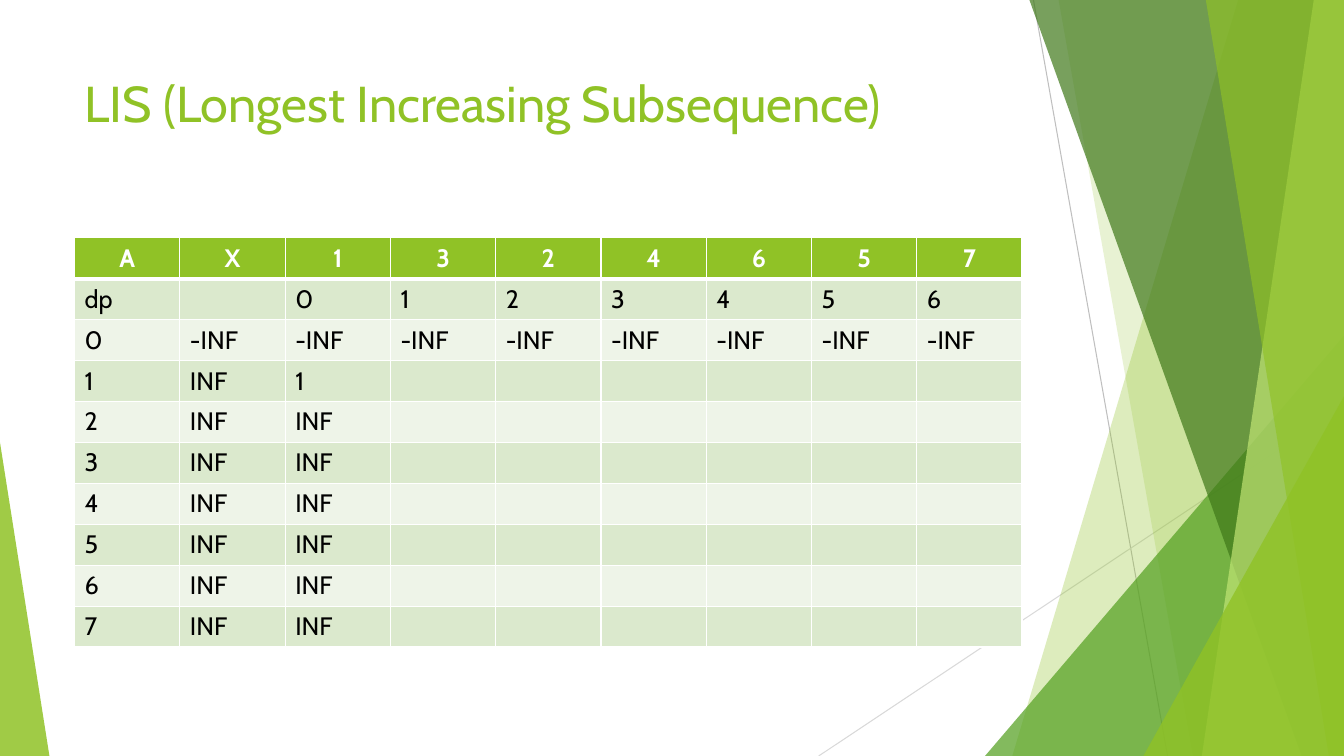
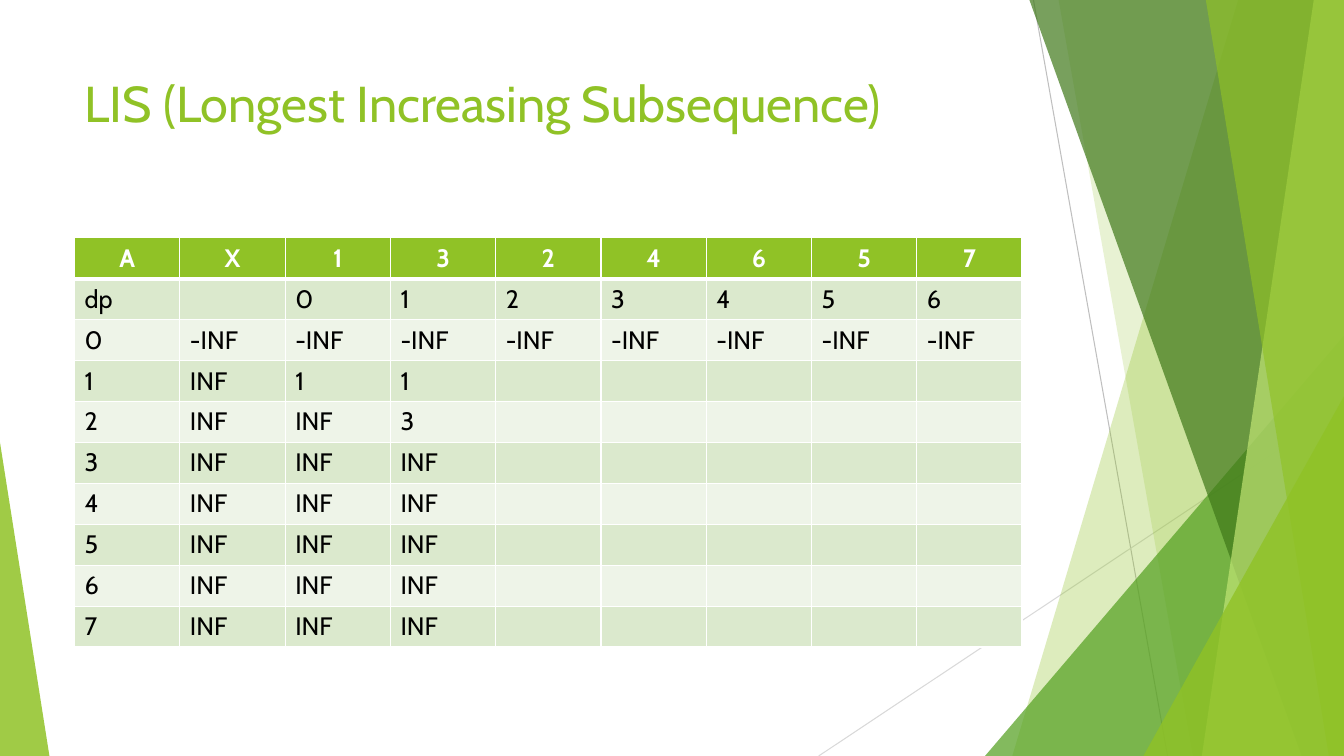
from lxml import etree
from pptx import Presentation
from pptx.dml.color import RGBColor
from pptx.enum.shapes import MSO_CONNECTOR, MSO_SHAPE
from pptx.enum.text import MSO_ANCHOR, MSO_AUTO_SIZE, PP_ALIGN
from pptx.oxml.ns import qn
from pptx.util import Inches, Pt

STRAIGHT = MSO_CONNECTOR.STRAIGHT
TRIANGLE = MSO_SHAPE.ISOSCELES_TRIANGLE
TOP, NO_FIT = MSO_ANCHOR.TOP, MSO_AUTO_SIZE.NONE
LEFT, CENTER = PP_ALIGN.LEFT, PP_ALIGN.CENTER

WHITE = RGBColor(0xFF, 0xFF, 0xFF)
BLACK = RGBColor(0x00, 0x00, 0x00)
LIME = RGBColor(0x90, 0xC2, 0x26)
GREEN = RGBColor(0x54, 0xA0, 0x21)
FOREST = RGBColor(0x3F, 0x78, 0x19)
PALE_LIME = RGBColor(0xC0, 0xE4, 0x74)
ROW_TINTS = (RGBColor(0xDB, 0xE9, 0xCD), RGBColor(0xEE, 0xF4, 0xE8))
GRAY = RGBColor(0xBF, 0xBF, 0xBF)
LIGHT_GRAY = RGBColor(0xD9, 0xD9, 0xD9)

FONT = "Cabin"
SLIDE_W, SLIDE_H = Inches(13.33), Inches(7.5)
MARGIN, CONTENT_W = Inches(0.74), Inches(9.4)
TITLE_BOX = (MARGIN, Inches(0.67), CONTENT_W, Inches(1.44))
TABLE_BOX = (MARGIN, Inches(2.36), CONTENT_W, Inches(4.06))
PANEL_W = Inches(3.56)
PANEL_BOX = (SLIDE_W - PANEL_W, 0, PANEL_W, SLIDE_H)
LEFT_WEDGE_BOX = (0, Inches(4.39), Inches(0.49), Inches(3.11))

TITLE = "LIS (Longest Increasing Subsequence)"
SEQUENCE = ["1", "3", "2", "4", "6", "5", "7"]
TAILS_BY_STEP = [[], ["1"], ["1", "3"]]


def tint(shape, color, opacity):
    """Give a shape a translucent fill without line or shadow."""
    shape.shadow.inherit = False
    shape.line.fill.background()
    shape.fill.solid()
    shape.fill.fore_color.rgb = color
    color_node = shape.element.spPr.find(f"{qn('a:solidFill')}/{qn('a:srgbClr')}")
    etree.SubElement(color_node, qn("a:alpha"), val=str(opacity * 1000))


def add_ray(shapes, start, end, color):
    """Draw a thin straight line between two points."""
    ray = shapes.add_connector(STRAIGHT, *start, *end)
    ray.line.color.rgb = color
    ray.line.width = Pt(0.75)
    etree.SubElement(ray.element.spPr, qn("a:effectLst"))


def add_wedge(shapes, box, apex, color, opacity):
    """Draw a triangle whose apex is a share of the box width."""
    wedge = shapes.add_shape(TRIANGLE, *box)
    wedge.adjustments[0] = apex
    tint(wedge, color, opacity)


def add_facet(shapes, box, top_inset, bottom_inset, color, opacity):
    """Draw a full-height facet with a slanted left edge."""
    left, top, width, height = box
    right, bottom = left + width, top + height
    outline = shapes.build_freeform(left + Inches(top_inset), top)
    outline.add_line_segments([
        (right, top), (right, bottom), (left + Inches(bottom_inset), bottom)])
    tint(outline.convert_to_shape(), color, opacity)


def add_panel(shapes, box):
    """Draw the layered rays, facets and wedges at the right edge."""
    left, top, width, height = box
    right, bottom = left + width, top + height

    def corner_wedge(wedge_w, wedge_h, color, opacity):
        """Draw a wedge in the lower right corner of the panel."""
        size = Inches(wedge_w), Inches(wedge_h)
        corner = right - size[0], bottom - size[1]
        add_wedge(shapes, (*corner, *size), 1, color, opacity)

    add_ray(shapes, (left + Inches(0.48), top), (left + Inches(1.81), bottom), GRAY)
    add_ray(shapes, (right, top + Inches(4.03)), (left - Inches(1.65), bottom), LIGHT_GRAY)
    add_facet(shapes, box, 2.51, 0.27, LIME, 30)
    add_facet(shapes, box, 0.73, 2.06, LIME, 20)
    corner_wedge(3.56, 4.17, GREEN, 72)
    add_facet(shapes, box, 0.44, 3.14, FOREST, 70)
    add_facet(shapes, box, 3.26, 2.15, PALE_LIME, 70)
    add_facet(shapes, box, 2.19, 3.41, LIME, 65)
    corner_wedge(1.99, 3.57, LIME, 80)


def decorate_layout(layout, slide):
    """Place the shared decoration and title box on the layout."""
    title, *footers = layout.placeholders
    tree = title.element.getparent()
    for footer in footers:
        tree.remove(footer.element)
    title.left, title.top, title.width, title.height = TITLE_BOX
    decoration = slide.shapes.add_group_shape()
    add_panel(decoration.shapes, PANEL_BOX)
    add_wedge(decoration.shapes, LEFT_WEDGE_BOX, 0, LIME, 85)
    title.element.addprevious(decoration.element)


def style_paragraph(paragraph, size, color, bold=False, align=LEFT):
    """Apply the deck font to the runs of a paragraph."""
    paragraph.alignment = align
    for run in paragraph.runs:
        run.font.name = FONT
        run.font.size = Pt(size)
        run.font.bold = bold
        run.font.color.rgb = color


def fill_title(slide, text):
    """Write the slide title into its placeholder."""
    frame = slide.shapes.title.text_frame
    frame.text = text
    frame.vertical_anchor = TOP
    frame.auto_size = NO_FIT
    style_paragraph(frame.paragraphs[0], 36, LIME)


def add_borders(cell, top_width, bottom_width):
    """Outline a cell in white."""
    properties = cell._tc.get_or_add_tcPr()
    widths = {"lnL": 1, "lnR": 1, "lnT": top_width, "lnB": bottom_width}
    for position, (side, width) in enumerate(widths.items()):
        border = etree.Element(qn(f"a:{side}"), w=str(Pt(width)))
        fill = etree.SubElement(border, qn("a:solidFill"))
        etree.SubElement(fill, qn("a:srgbClr"), val=str(WHITE))
        properties.insert(position, border)


def dp_rows(step):
    """Return the table rows with the dp columns filled up to a step."""
    count = len(SEQUENCE)
    rows = [
        ["A", "X", *SEQUENCE],
        ["dp", "", *map(str, range(count))],
        ["0"] + ["-INF"] * (count + 1),
    ]
    for length in range(1, count + 1):
        values = [tails[length - 1] if length <= len(tails) else "INF"
                  for tails in TAILS_BY_STEP[:step + 1]]
        rows.append([str(length), *values] + [""] * (count - step))
    return rows


def add_dp_table(slide, box, rows):
    """Add the dp table on an even grid within the box."""
    left, top, width, height = box
    table = slide.shapes.add_table(len(rows), len(rows[0]), *box).table
    for column in table.columns:
        column.width = width // len(rows[0])
    for r, values in enumerate(rows):
        table.rows[r].height = height // len(rows)
        is_header = r == 0
        for c, value in enumerate(values):
            cell = table.cell(r, c)
            cell.fill.solid()
            cell.fill.fore_color.rgb = LIME if is_header else ROW_TINTS[(r - 1) % 2]
            add_borders(cell, 3 if r == 1 else 1, 3 if is_header else 1)
            paragraph = cell.text_frame.paragraphs[0]
            if value:
                paragraph.text = value
            style_paragraph(paragraph, 18, WHITE if is_header else BLACK,
                            is_header, CENTER if is_header else LEFT)


def main():
    """Build and save the deck."""
    deck = Presentation()
    deck.slide_width, deck.slide_height = SLIDE_W, SLIDE_H
    layout = deck.slide_layouts[5]
    slides = [deck.slides.add_slide(layout) for _ in TAILS_BY_STEP[1:]]
    decorate_layout(layout, slides[0])
    for step, slide in enumerate(slides, start=1):
        fill_title(slide, TITLE)
        add_dp_table(slide, TABLE_BOX, dp_rows(step))
    deck.save("out.pptx")


if __name__ == "__main__":
    main()
